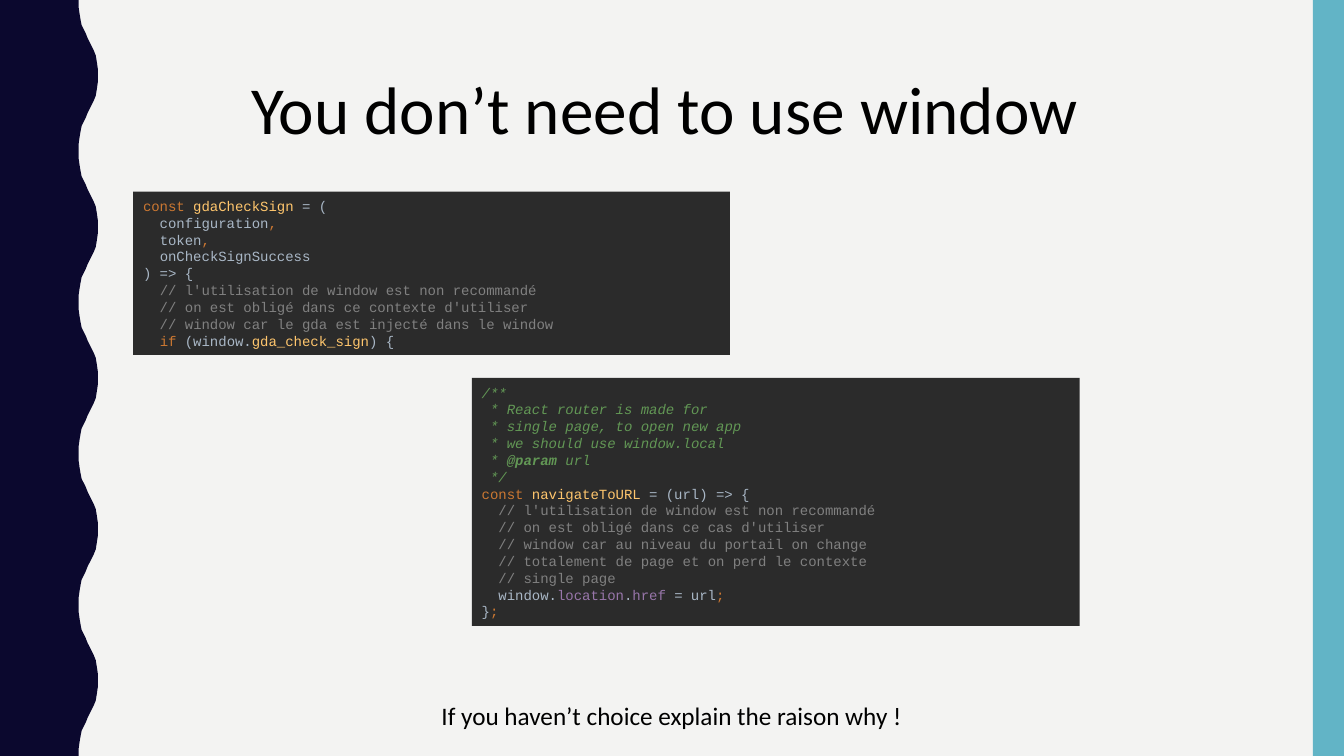
from dataclasses import dataclass

from pptx import Presentation
from pptx.dml.color import RGBColor
from pptx.enum.shapes import MSO_SHAPE
from pptx.enum.text import MSO_ANCHOR, MSO_AUTO_SIZE, PP_ALIGN
from pptx.util import Inches, Pt

WIDTH, HEIGHT = 13.33, 7.5


@dataclass(frozen=True)
class Theme:
    background: str = "F3F3F2"
    wave: str = "0B082E"
    band: str = "62B4C6"
    text: str = "000000"
    panel: str = "2B2B2B"
    keyword: str = "CC7832"
    function: str = "FFC66D"
    plain: str = "A9B7C6"
    comment: str = "808080"
    doc: str = "629755"
    member: str = "9876AA"
    font: str = "Calibri"
    code_font: str = "Courier New"
    title_size: int = 48
    note_size: int = 18
    code_size: int = 10


THEME = Theme()

# Code as (text, colour name) pieces
CHECK_SIGN = [
    ("const ", "keyword"), ("gdaCheckSign ", "function"),
    ("= (\n  configuration", "plain"), (",\n  ", "keyword"),
    ("token", "plain"), (",\n  ", "keyword"),
    ("onCheckSignSuccess\n) => {\n  ", "plain"),
    ("// l'utilisation de window est non recommandé\n"
     "  // on est obligé dans ce contexte d'utiliser\n"
     "  // window car le gda est injecté dans le window\n  ", "comment"),
    ("if ", "keyword"), ("(window.", "plain"),
    ("gda_check_sign", "function"), (") {", "plain"),
]
NAVIGATE = [
    ("/**\n * React router is made for\n * single page, to open new app\n"
     " * we should use window.local\n * ", "doc"),
    ("@param ", "doc tag"), ("url\n */\n", "doc"),
    ("const ", "keyword"), ("navigateToURL ", "function"),
    ("= (url) => {\n  ", "plain"),
    ("// l'utilisation de window est non recommandé\n"
     "  // on est obligé dans ce cas d'utiliser\n"
     "  // window car au niveau du portail on change\n"
     "  // totalement de page et on perd le contexte\n"
     "  // single page\n  ", "comment"),
    ("window.", "plain"), ("location", "member"), (".", "plain"),
    ("href ", "member"), ("= url", "plain"), (";\n", "keyword"),
    ("}", "plain"), (";", "keyword"),
]


def color(value):
    return RGBColor.from_string(value)


def inches(box):
    return [Inches(length) for length in box]


def paint(shape, fill):
    shape.shadow.inherit = False
    shape.fill.solid()
    shape.fill.fore_color.rgb = color(fill)
    shape.line.fill.background()


def add_text(paragraph, text, *, size, font=THEME.font, fill=THEME.text,
             bold=False, italic=False):
    for index, line in enumerate(text.split("\n")):
        if index:
            paragraph.add_line_break()
        if line:
            run = paragraph.add_run()
            run.text = line
            run.font.name = font
            run.font.size = Pt(size)
            run.font.color.rgb = color(fill)
            run.font.bold = bold
            run.font.italic = italic


def fit_frame(shape, anchor, wrap):
    frame = shape.text_frame
    frame.word_wrap = wrap
    frame.auto_size = MSO_AUTO_SIZE.SHAPE_TO_FIT_TEXT
    frame.vertical_anchor = anchor
    paragraph = frame.paragraphs[0]
    paragraph.alignment = PP_ALIGN.LEFT
    return paragraph


def add_wave(slide, box, waves=5):
    left, top, width, height = box
    period = height / waves
    # Half a wave: (distance from the crest, drop), mirrored for the rest
    half = [(0.19, 0), (0.19, 0.07), (0.18, 0.14), (0.17, 0.2), (0.16, 0.25),
            (0.14, 0.29), (0.12, 0.33), (0.1, 0.38), (0.08, 0.42),
            (0.06, 0.46), (0.04, 0.5), (0.02, 0.55), (0.01, 0.61),
            (0, 0.68), (0, 0.75)]
    whole = half + [(inset, period - drop) for inset, drop in half[-2::-1]]
    edge = [(left + width - inset, top + wave * period + drop)
            for wave in range(waves) for inset, drop in whole]
    builder = slide.shapes.build_freeform(Inches(left), Inches(top))
    builder.add_line_segments(
        [inches(point) for point in edge + [(left, top + height)]], close=True)
    paint(builder.convert_to_shape(), THEME.wave)


def add_band(slide, box):
    paint(slide.shapes.add_shape(MSO_SHAPE.RECTANGLE, *inches(box)), THEME.band)


def add_title(slide, box, text):
    title = slide.shapes.title
    title.left, title.top, title.width, title.height = inches(box)
    paragraph = fit_frame(title, MSO_ANCHOR.TOP, wrap=False)
    add_text(paragraph, text, size=THEME.title_size)


def add_note(slide, box, text):
    note = slide.shapes.add_textbox(*inches(box))
    paragraph = fit_frame(note, MSO_ANCHOR.TOP, wrap=False)
    add_text(paragraph, text, size=THEME.note_size)


def add_code(slide, box, pieces):
    panel = slide.shapes.add_shape(MSO_SHAPE.RECTANGLE, *inches(box))
    paint(panel, THEME.panel)
    paragraph = fit_frame(panel, MSO_ANCHOR.MIDDLE, wrap=True)
    for text, style in pieces:
        add_text(paragraph, text, size=THEME.code_size, font=THEME.code_font,
                 fill=getattr(THEME, style.split()[0]),
                 bold=style == "doc tag", italic=style.startswith("doc"))


def main():
    presentation = Presentation()
    presentation.slide_width, presentation.slide_height = inches((WIDTH, HEIGHT))
    slide = presentation.slides.add_slide(presentation.slide_layouts[5])
    slide.background.fill.solid()
    slide.background.fill.fore_color.rgb = color(THEME.background)

    # Side decoration
    add_wave(slide, (0, 0, 0.97, HEIGHT))
    add_band(slide, (WIDTH - 0.31, 0, 0.31, HEIGHT))

    # Title, code panels and closing note
    add_title(slide, (2.39, 0.62, 8.56, 0.91), "You don’t need to use window")
    add_code(slide, (1.32, 1.9, 5.92, 1.62), CHECK_SIGN)
    add_code(slide, (4.68, 3.75, 6.03, 2.46), NAVIGATE)
    add_note(slide, (4.28, 6.9, 4.78, 0.4),
             "If you haven’t choice explain the raison why !")
    presentation.save("out.pptx")


if __name__ == "__main__":
    main()
